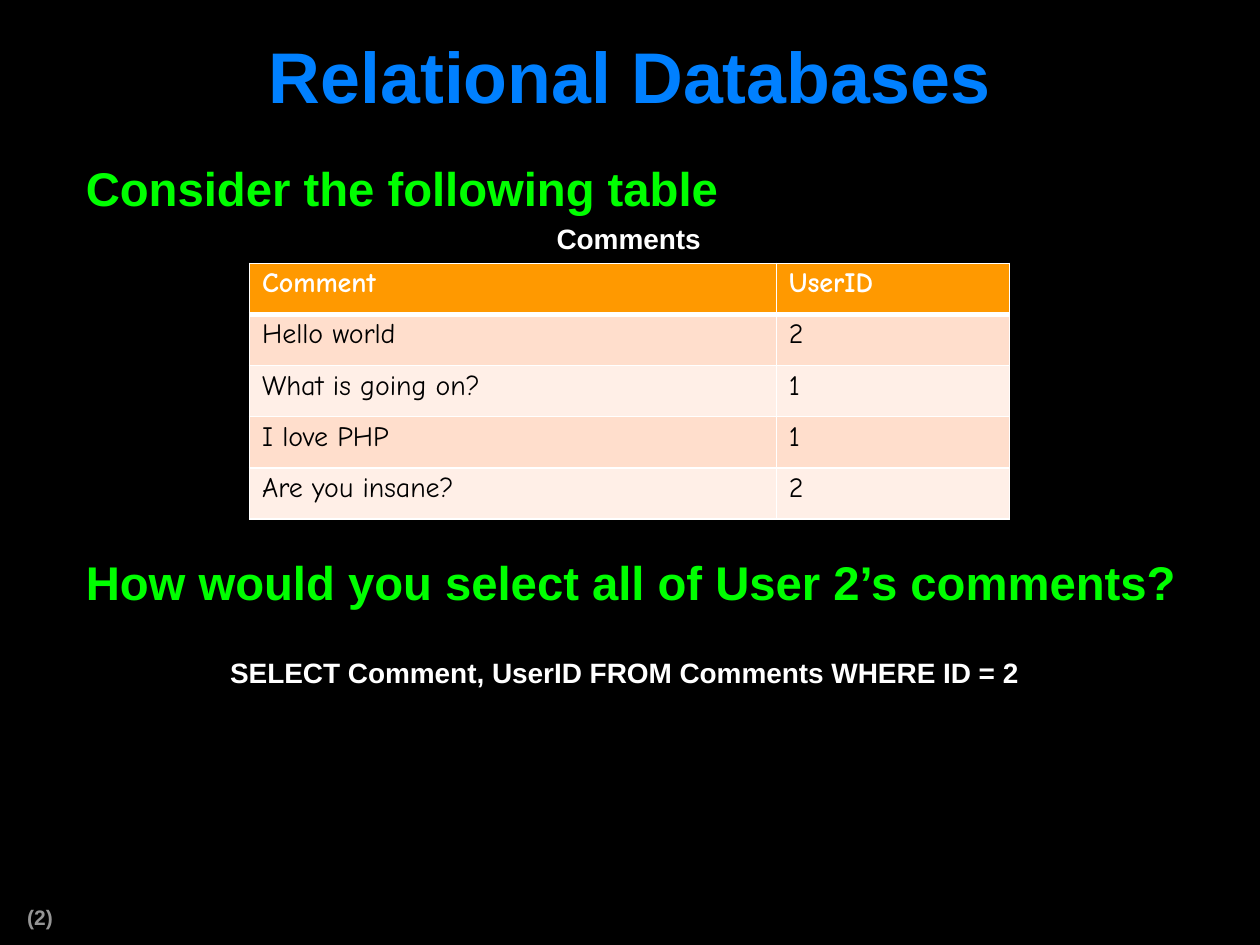
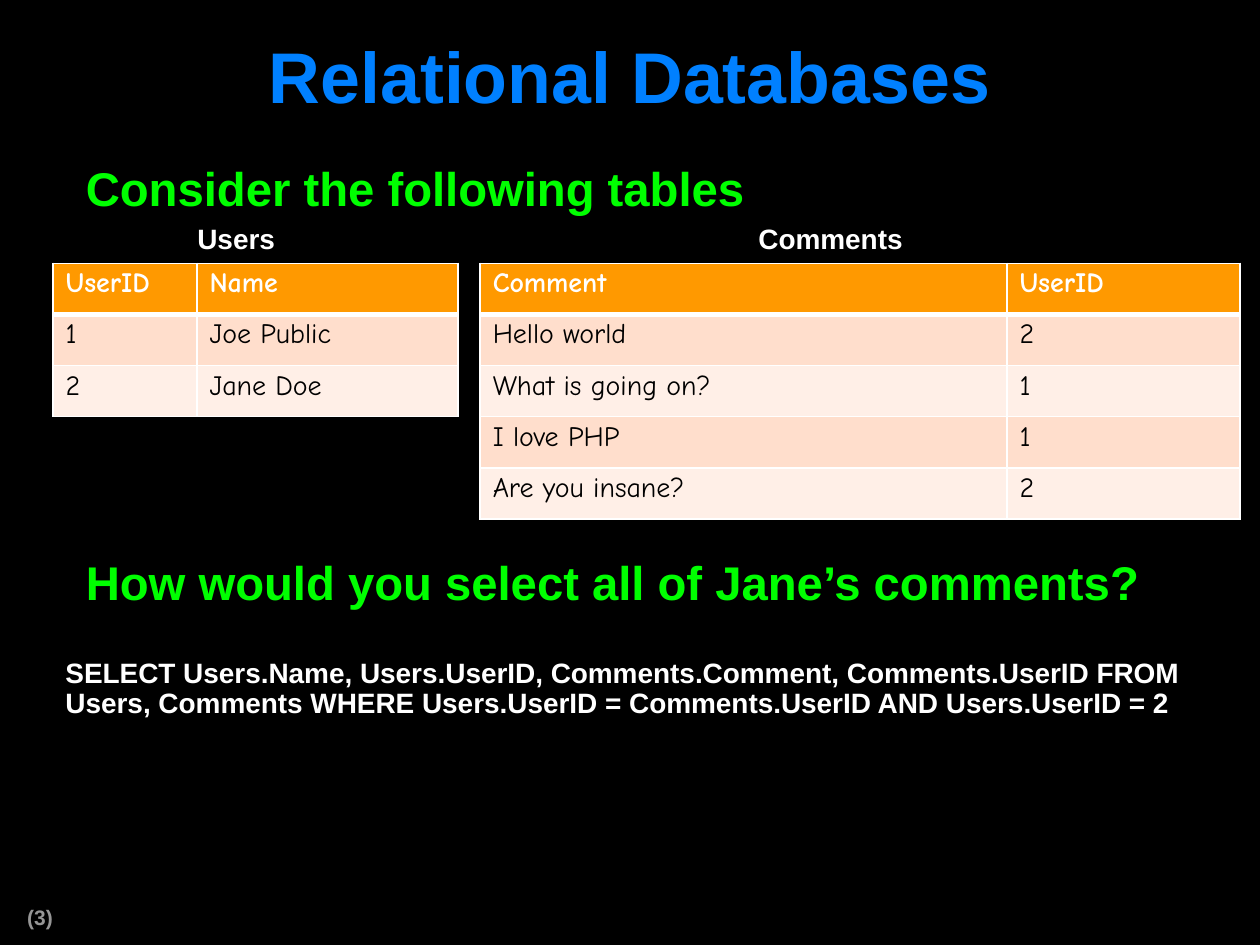
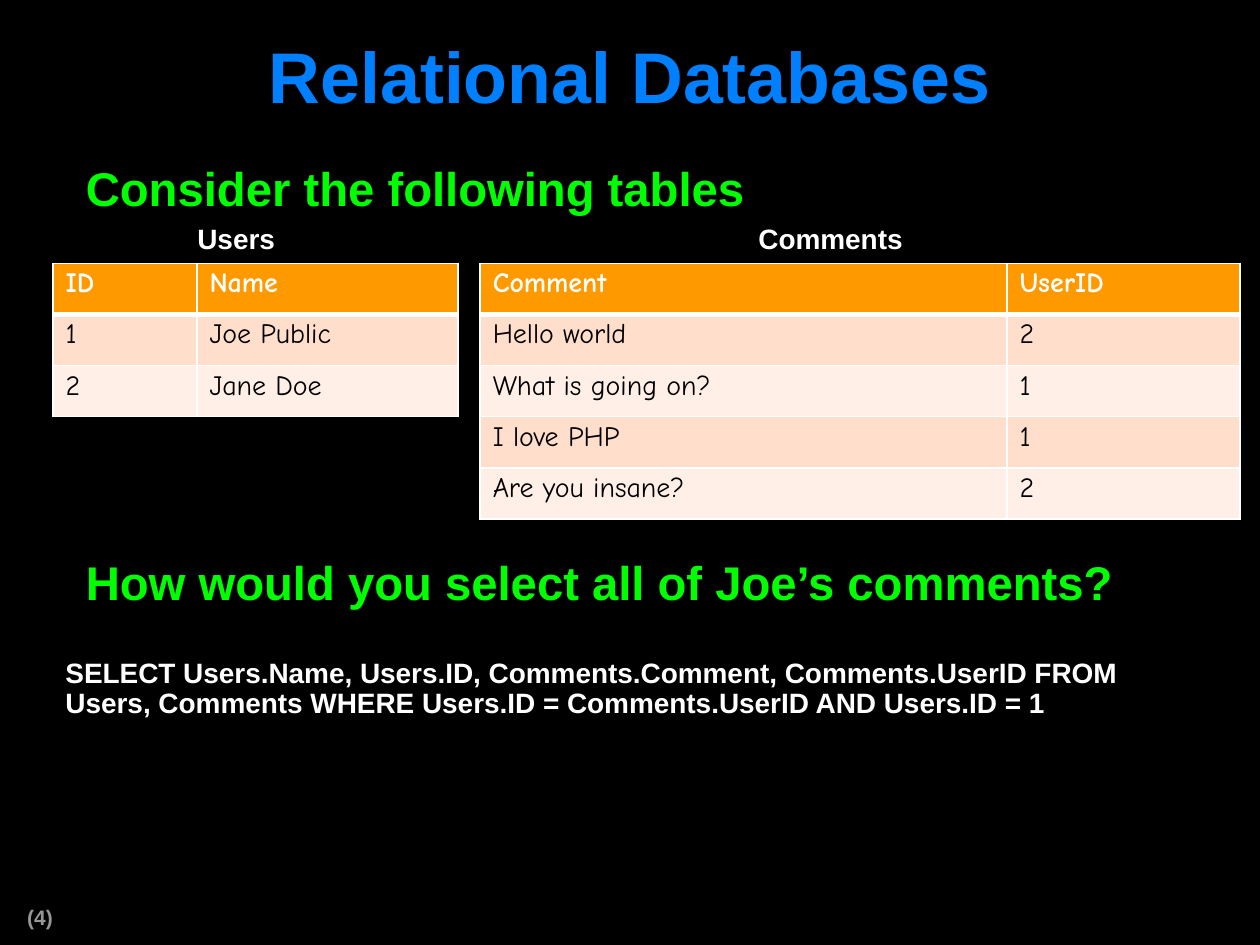
from dataclasses import dataclass
from typing import Any, NamedTuple

from lxml import etree
from pptx import Presentation
from pptx.dml.color import RGBColor
from pptx.enum import text as enums
from pptx.oxml import ns
from pptx.util import Cm, Pt


class TextStyle(NamedTuple):
    font: str
    size: float
    color: str
    bold: bool = True


class Box(NamedTuple):
    left: float
    top: float
    width: float
    height: float


@dataclass(frozen=True)
class Theme:
    background: str = "000000"
    border: str = "FFFFFF"
    header_fill: str = "FF9900"
    band_fills: tuple[str, str] = ("FFDECC", "FFEFE7")
    title: TextStyle = TextStyle("Arial", 41, "0080FF")
    body: TextStyle = TextStyle("Arial", 27, "00FF00")
    label: TextStyle = TextStyle("Arial", 16, "FFFFFF")
    number: TextStyle = TextStyle("Arial", 12, "969696")
    header: TextStyle = TextStyle("Comic Neue", 16, "FFFFFF")
    cell: TextStyle = TextStyle("Comic Neue", 16, "000000", False)
    line_spacing: float = 0.9
    thin: float = 1
    thick: float = 3


@dataclass(frozen=True)
class DataTable:
    name: str
    left: float
    label_left: float
    label_width: float
    columns: tuple[float, ...]
    rows: tuple[tuple[str, ...], ...]


@dataclass(frozen=True)
class Lesson:
    number: int
    prompt: str
    question: str
    tables: tuple[DataTable, ...]
    query_left: float
    query_width: float
    query: tuple[str, ...]


THEME = Theme()
TITLE = "Relational Databases"
TITLE_BOX = Box(0, 0.43, 25.4, 2.39)
BODY_BOX = Box(1.07, 3.18, 23.5, 14.35)
NUMBER_BOX = Box(0.3, 18.16, 1.4, 0.71)
LABEL_TOP, TABLE_TOP, QUERY_TOP = 4.42, 5.31, 13.16
ROW_HEIGHT, LINE_HEIGHT = 1.03, 0.75
QUESTION_GAP = Pt(196)


def apply(target: Any, values: dict[str, Any]) -> None:
    for name, value in values.items():
        setattr(target, name, value)


def write(frame: Any, lines: tuple[str, ...], style: TextStyle, **layout: Any) -> None:
    for index, line in enumerate(lines):
        paragraph = frame.paragraphs[0] if index == 0 else frame.add_paragraph()
        apply(paragraph, {"line_spacing": THEME.line_spacing, "space_before": Pt(0), **layout})
        run = paragraph.add_run()
        run.text = line
        apply(run.font, {"name": style.font, "size": Pt(style.size), "bold": style.bold})
        run.font.color.rgb = RGBColor.from_string(style.color)


def place(shape: Any, box: Box) -> None:
    apply(shape, {name: Cm(value) for name, value in box._asdict().items()})


def set_frame(frame: Any, horizontal: float, vertical: float, anchor: Any) -> None:
    apply(frame, {
        "margin_left": Cm(horizontal), "margin_right": Cm(horizontal),
        "margin_top": Cm(vertical), "margin_bottom": Cm(vertical),
        "word_wrap": True, "auto_size": enums.MSO_AUTO_SIZE.NONE,
        "vertical_anchor": anchor,
    })


def add_text(slide: Any, box: Box, lines: tuple[str, ...], style: TextStyle) -> None:
    shape = slide.shapes.add_textbox(*map(Cm, box))
    set_frame(shape.text_frame, 0.25, 0.13, enums.MSO_ANCHOR.TOP)
    write(shape.text_frame, lines, style)


def fill_title(slide: Any) -> None:
    shape = slide.shapes.title
    place(shape, TITLE_BOX)
    set_frame(shape.text_frame, 0.33, 0.15, enums.MSO_ANCHOR.MIDDLE)
    write(shape.text_frame, (TITLE,), THEME.title, alignment=enums.PP_ALIGN.CENTER)


def fill_body(slide: Any, lesson: Lesson) -> None:
    shape = slide.placeholders[1]
    place(shape, BODY_BOX)
    set_frame(shape.text_frame, 0.3, 0.15, enums.MSO_ANCHOR.TOP)
    write(shape.text_frame, (lesson.prompt, lesson.question), THEME.body)
    for paragraph in shape.text_frame.paragraphs:
        properties = paragraph._p.get_or_add_pPr()
        properties.set("marL", str(Cm(0.36)))
        properties.set("indent", "0")
        etree.SubElement(properties, ns.qn("a:buNone"))
    shape.text_frame.paragraphs[1].space_before = QUESTION_GAP


def set_borders(cell: Any, widths: dict[str, float]) -> None:
    properties = cell._tc.get_or_add_tcPr()
    for index, (side, width) in enumerate(widths.items()):
        line = etree.Element(ns.qn(f"a:ln{side}"), w=str(Pt(width)))
        fill = etree.SubElement(line, ns.qn("a:solidFill"))
        etree.SubElement(fill, ns.qn("a:srgbClr"), val=THEME.border)
        properties.insert(index, line)


def add_data_table(slide: Any, data: DataTable) -> None:
    label_box = Box(data.label_left, LABEL_TOP, data.label_width, 0.89)
    add_text(slide, label_box, (data.name,), THEME.label)
    table = slide.shapes.add_table(
        len(data.rows), len(data.columns), Cm(data.left), Cm(TABLE_TOP),
        Cm(sum(data.columns)), Cm(ROW_HEIGHT * len(data.rows)),
    ).table
    table.horz_banding = False
    for column, width in zip(table.columns, data.columns):
        column.width = Cm(width)
    for row_index, values in enumerate(data.rows):
        table.rows[row_index].height = Cm(ROW_HEIGHT)
        is_header = row_index == 0
        color = THEME.header_fill if is_header else THEME.band_fills[(row_index - 1) % 2]
        for column_index, value in enumerate(values):
            cell = table.cell(row_index, column_index)
            write(cell.text_frame, (value,), THEME.header if is_header else THEME.cell)
            cell.fill.solid()
            cell.fill.fore_color.rgb = RGBColor.from_string(color)
            set_borders(cell, {
                "L": THEME.thin, "R": THEME.thin,
                "T": THEME.thick if row_index == 1 else THEME.thin,
                "B": THEME.thick if is_header else THEME.thin,
            })


def add_lesson(presentation: Any, lesson: Lesson) -> None:
    slide = presentation.slides.add_slide(presentation.slide_layouts[1])
    add_text(slide, NUMBER_BOX, (f"({lesson.number})",), THEME.number)
    fill_title(slide)
    fill_body(slide, lesson)
    for data in lesson.tables:
        add_data_table(slide, data)
    height = LINE_HEIGHT * len(lesson.query)
    query_box = Box(lesson.query_left, QUERY_TOP, lesson.query_width, height)
    add_text(slide, query_box, lesson.query, THEME.label)


def comments_table(left: float, label_left: float) -> DataTable:
    return DataTable("Comments", left, label_left, 3.5, (10.62, 4.7), (
        ("Comment", "UserID"),
        ("Hello world", "2"),
        ("What is going on?", "1"),
        ("I love PHP", "1"),
        ("Are you insane?", "2"),
    ))


def join_lesson(number: int, person: str, key: str, user: int) -> Lesson:
    users = DataTable("Users", 1.07, 3.73, 2.2, (2.9, 5.26), (
        (key, "Name"), ("1", "Joe Public"), ("2", "Jane Doe"),
    ))
    return Lesson(
        number, "Consider the following tables",
        f"How would you select all of {person}’s comments?",
        (users, comments_table(9.68, 15.04)), 1.07, 23.27,
        (
            f"SELECT Users.Name, Users.{key}, Comments.Comment, Comments.UserID FROM",
            f"Users, Comments WHERE Users.{key} = Comments.UserID AND Users.{key} = {user}",
        ),
    )


LESSONS = (
    Lesson(
        2, "Consider the following table",
        "How would you select all of User 2’s comments?",
        (comments_table(5.03, 10.97),), 4.39, 16.61,
        ("SELECT Comment, UserID FROM Comments WHERE ID = 2",),
    ),
    join_lesson(3, "Jane", "UserID", 2),
    join_lesson(4, "Joe", "ID", 1),
)


def main() -> None:
    presentation = Presentation()
    apply(presentation, {"slide_width": Cm(25.4), "slide_height": Cm(19.05)})
    background = presentation.slide_master.background.fill
    background.solid()
    background.fore_color.rgb = RGBColor.from_string(THEME.background)
    for lesson in LESSONS:
        add_lesson(presentation, lesson)
    presentation.save("out.pptx")


main()
